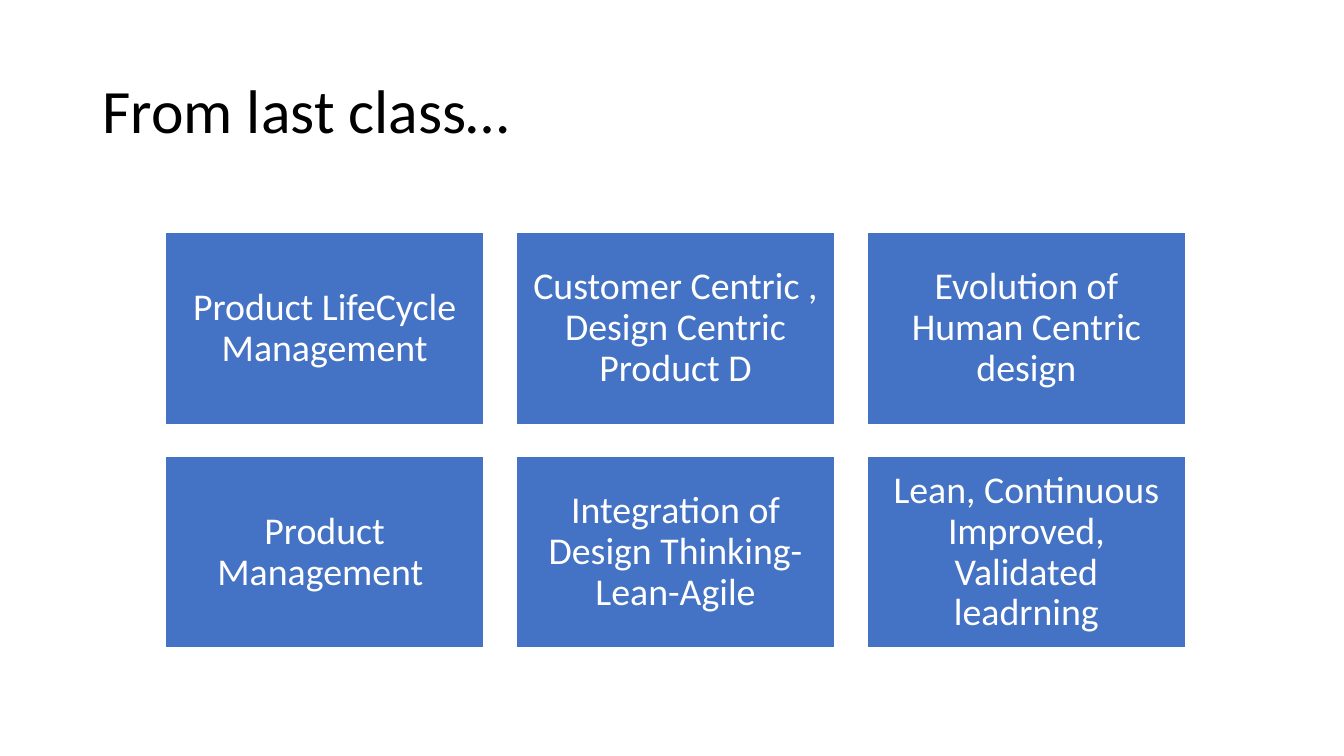
from pptx import Presentation
from pptx.dml.color import RGBColor
from pptx.enum.shapes import MSO_SHAPE
from pptx.enum.text import MSO_ANCHOR, PP_ALIGN
from pptx.util import Inches, Pt

# Content
TITLE = "From last class…"
TOPICS = [
    "Product LifeCycle Management",
    "Customer Centric , Design Centric Product D",
    "Evolution of Human Centric design",
    "Product Management ",
    "Integration of Design Thinking-Lean-Agile",
    "Lean, Continuous Improved, Validated leadrning",
]

# Theme
WHITE = RGBColor(0xFF, 0xFF, 0xFF)
THEME = {
    "fill": RGBColor(0x44, 0x72, 0xC4),
    "line": WHITE,
    "title": {"name": "Calibri", "size": Pt(44), "color": RGBColor(0, 0, 0)},
    "topic": {"name": "Calibri", "size": Pt(27), "color": WHITE},
}

# Grid, in inches
COLS = 3
LEFT, TOP = 1.64, 2.31
WIDTH, HEIGHT = 3.16, 1.9
GAP = 0.32
INSET = 0.11


def write(shape, text, style, align, pad_x, pad_y):
    frame = shape.text_frame
    form = {
        "word_wrap": True,
        "vertical_anchor": MSO_ANCHOR.MIDDLE,
        "margin_left": Inches(pad_x),
        "margin_right": Inches(pad_x),
        "margin_top": Inches(pad_y),
        "margin_bottom": Inches(pad_y),
    }
    for key, value in form.items():
        setattr(frame, key, value)
    para = frame.paragraphs[0]
    para.alignment = align
    para.line_spacing = 0.9
    run = para.add_run()
    run.text = text
    for key, value in THEME[style].items():
        if key == "color":
            run.font.color.rgb = value
        else:
            setattr(run.font, key, value)


def add_card(slide, index, text):
    row, col = divmod(index, COLS)
    x = LEFT + col * (WIDTH + GAP)
    y = TOP + row * (HEIGHT + GAP)
    card = slide.shapes.add_shape(
        MSO_SHAPE.RECTANGLE, Inches(x), Inches(y), Inches(WIDTH), Inches(HEIGHT))
    card.shadow.inherit = False
    card.fill.solid()
    card.fill.fore_color.rgb = THEME["fill"]
    card.line.color.rgb = THEME["line"]
    card.line.width = Pt(1)
    write(card, text, "topic", PP_ALIGN.CENTER, INSET, INSET)


def main():
    deck = Presentation()
    deck.slide_width, deck.slide_height = Inches(13.33), Inches(7.5)
    slide = deck.slides.add_slide(deck.slide_layouts[6])

    # Title
    box = slide.shapes.add_textbox(
        Inches(0.92), Inches(0.4), Inches(11.5), Inches(1.45))
    write(box, TITLE, "title", PP_ALIGN.LEFT, 0.1, 0.05)

    # Topic cards
    for index, text in enumerate(TOPICS):
        add_card(slide, index, text)

    deck.save("out.pptx")


if __name__ == "__main__":
    main()
